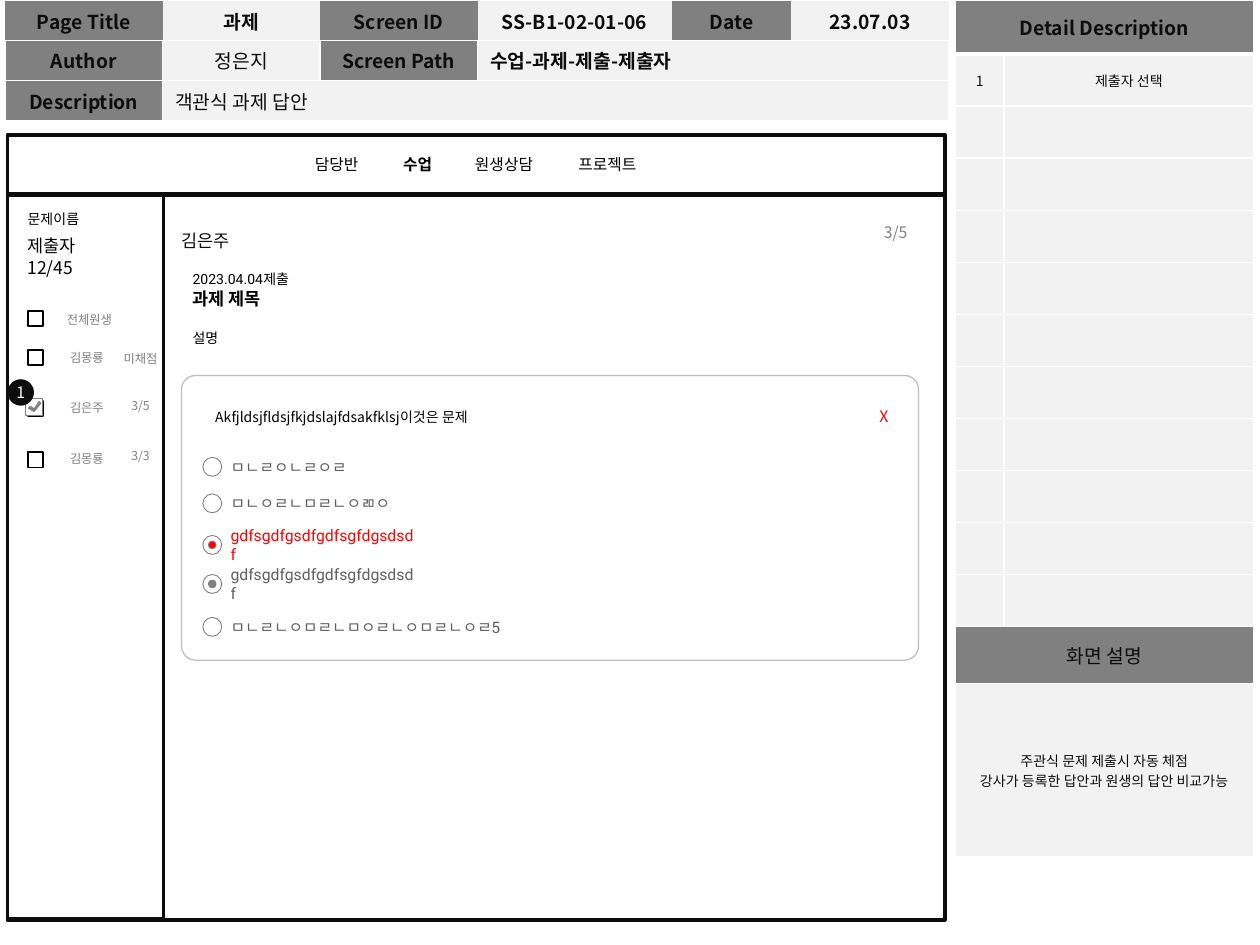
from lxml.etree import SubElement
from pptx import Presentation
from pptx.dml.color import RGBColor
from pptx.enum.shapes import MSO_SHAPE as SHAPE
from pptx.enum.text import MSO_ANCHOR as ANCHOR, PP_ALIGN as ALIGN
from pptx.oxml.ns import qn
from pptx.util import Inches, Pt

BLACK = RGBColor(0, 0, 0)
INK = RGBColor(0x0D, 0x0D, 0x0D)
GRAY = RGBColor(0x80, 0x80, 0x80)
TEXT_GRAY = RGBColor(0x5F, 0x5F, 0x5F)
SILVER = RGBColor(0xBF, 0xBF, 0xBF)
PALE = RGBColor(0xF2, 0xF2, 0xF2)
WHITE = RGBColor(0xFF, 0xFF, 0xFF)
RED = RGBColor(0xFF, 0, 0)
NOTO, ROBOTO = "Noto Sans CJK KR", "Roboto"
NO_STYLE = "{2D5ABB26-0587-4C30-8999-92F81FD0307C}"

prs = Presentation()
prs.slide_width, prs.slide_height = Inches(10), Inches(7.5)
slide = prs.slides.add_slide(prs.slide_layouts[6])
U = prs.slide_width // 100  # grid of 100 columns by 75 rows


def add(kind, x, y, w, h, fill=None, line=None, width=1, parent=slide):
    """Place a shape, or a text box when kind is None, in grid units."""
    box = [int(v * U) for v in (x, y, w, h)]
    if kind is None:
        return parent.shapes.add_textbox(*box)
    sp = parent.shapes.add_shape(kind, *box)
    sp.shadow.inherit = False
    for part, color in ((sp.fill, fill), (sp.line.fill, line)):
        if color is None:
            part.background()
        else:
            part.solid()
            part.fore_color.rgb = color
    if line is not None:
        sp.line.width = Pt(width)
    return sp


def write(tf, lines, size, color=BLACK, align=ALIGN.LEFT, font=NOTO, bold=False):
    """Fill a text frame; a line is a string or a list of (text, bold) runs."""
    tf.word_wrap = True
    for i, line in enumerate(lines):
        p = tf.paragraphs[0] if i == 0 else tf.add_paragraph()
        p.alignment = align
        for text, strong in [(line, bold)] if isinstance(line, str) else line:
            r = p.add_run()
            r.text = text
            r.font.size, r.font.bold, r.font.name = Pt(size), strong, font
            r.font.color.rgb = color
            SubElement(r.font._element, qn("a:ea"), typeface=font)


# Student name and question card
sp = add(SHAPE.ROUNDED_RECTANGLE, 14.3, 17.8, 33.2, 2.6)
sp.text_frame.margin_left = sp.text_frame.margin_right = 0
sp.text_frame.vertical_anchor = ANCHOR.MIDDLE
write(sp.text_frame, ["김은주"], 10, INK)
sp = add(SHAPE.ROUNDED_RECTANGLE, 14.4, 29.8, 58.5, 22.6, line=SILVER, width=0.75)
sp.adjustments[0] = 0.05

# Answer options: text, circle top, text width, text colour, dot colour
options = [
    ("ㅁㄴㄹㅇㄴㄹㅇㄹ", 36.3, 11.7, TEXT_GRAY, None),
    ("ㅁㄴㅇㄹㄴㅁㄹㄴㅇㄻㅇ", 39.2, 15.5, TEXT_GRAY, None),
    ("gdfsgdfgsdfgdfsgfdgsdsdf", 42.5, 16.3, RED, RED),
    ("gdfsgdfgsdfgdfsgfdgsdsdf", 45.6, 16.3, TEXT_GRAY, GRAY),
    ("ㅁㄴㄹㄴㅇㅁㄹㄴㅁㅇㄹㄴㅇㅁㄹㄴㅇㄹ5", 49, 25, TEXT_GRAY, None),
]
for text, y, w, color, dot in options:
    group = slide.shapes.add_group_shape()
    add(SHAPE.OVAL, 16.1, y, 1.5, 1.5, WHITE, GRAY, 0.5, group)
    if dot is not None:
        add(SHAPE.OVAL, 16.55, y + 0.45, 0.6, 0.6, dot, GRAY, 0.5, group)
    tf = add(None, 17.5, y - 0.4, w, 2.3, parent=group).text_frame
    tf.margin_left = tf.margin_right = Inches(0.08)
    tf.margin_top = tf.margin_bottom = Inches(0.04)
    tf.vertical_anchor = ANCHOR.MIDDLE
    write(tf, [text], 9, color, font=ROBOTO)

# Assignment heading, question and marks
labels = [
    ("Akfjldsjfldsjfkjdslajfdsakfklsj이것은 문제", 16.1, 31.9, 43.9, 2.4, 8, BLACK, ALIGN.LEFT),
    ("설명", 14.3, 25.7, 47.9, 2.4, 8, BLACK, ALIGN.LEFT),
    ("X", 45.5, 31.8, 26, 2.5, 9, RED, ALIGN.RIGHT),
    ("3/5", 67.9, 17.2, 5.1, 2.5, 9, GRAY, ALIGN.RIGHT),
    ("문제이름", 1.2, 16.2, 6.5, 2.4, 8, BLACK, ALIGN.LEFT),
]
for text, x, y, w, h, size, color, align in labels:
    write(add(None, x, y, w, h).text_frame, [text], size, color, align)
tf = add(None, 14.3, 21, 47.9, 4).text_frame
write(tf, ["2023.04.04제출"], 8, font=ROBOTO)
p = tf.add_paragraph()
r = p.add_run()
r.text = "과제 제목"
r.font.size, r.font.bold, r.font.name = Pt(10), True, NOTO
r.font.color.rgb = BLACK
SubElement(r.font._element, qn("a:ea"), typeface=NOTO)
write(add(None, 1.2, 18.2, 6.2, 4.4).text_frame, ["제출자", "12/45"], 10)

# Navigation on tab stops
tf = add(None, 22, 11.8, 31.6, 2.5).text_frame
tf.margin_left = Inches(0.3)
write(tf, [[("담당반\t", False), ("수업", True), ("\t원생상담\t프로젝트", False)]], 9)
tabs = SubElement(tf.paragraphs[0]._p.get_or_add_pPr(), qn("a:tabLst"))
for stop in (0.7, 1.27, 2.09):
    SubElement(tabs, qn("a:tab"), pos=str(Inches(stop)), algn="l")

# Screen frame: body, top bar, sidebar
for x, y, w, h in ((0.6, 15.5, 74.4, 57.5), (0.6, 10.7, 74.4, 4.7), (0.6, 15.4, 12.4, 57.5)):
    add(SHAPE.RECTANGLE, x, y, w, h, line=INK, width=2)

# Sidebar student list
students = [("전체원생", 24.3, None, 0, 24.7), ("김몽룡", 27.3, "미채점", 27.4, 27.8),
            ("김은주", 31.3, "3/5", 31.1, 31.8), ("김몽룡", 35.3, "3/3", 35.1, 35.9)]
for name, y, score, score_y, check_y in students:
    w = 6 if score is None else 5.6
    write(add(None, 4.1, y, w, 2.2).text_frame, [name], 7, GRAY, ALIGN.CENTER)
    if score:
        write(add(None, 8.6, score_y, 5.1, 2.2).text_frame, [score], 7, GRAY, ALIGN.CENTER)
    add(SHAPE.RECTANGLE, 2.2, check_y, 1.2, 1.2, line=BLACK)

# Ticked box, drawn in tenths of a grid unit
group = slide.shapes.add_group_shape()
add(SHAPE.RECTANGLE, 2, 31.6, 1.4, 1.4, WHITE, GRAY, 0.5, group)
fb = group.shapes.build_freeform(31, 318, scale=U / 10)
fb.add_line_segments([(27, 324), (24, 322), (22, 324), (25, 326), (27, 327), (29, 325), (33, 320)])
tick = fb.convert_to_shape()
tick.shadow.inherit = False
tick.fill.solid()
tick.fill.fore_color.rgb = GRAY
tick.line.fill.background()

# Numbered marker
sp = add(SHAPE.OVAL, 0.6, 30.1, 2.1, 2.1, INK)
tf = sp.text_frame
tf.margin_left = tf.margin_right = tf.margin_top = tf.margin_bottom = 0
tf.vertical_anchor = ANCHOR.MIDDLE
write(tf, ["1"], 9, WHITE, ALIGN.CENTER)

# Tables: origin, columns, rows, merges (row, first, last), cells
# A cell is (row, column): (lines, size, bold, alignment)
C, L = ALIGN.CENTER, ALIGN.LEFT
info = {(0, c): ([t], 11, True, C) for c, t in enumerate(
    ["Page Title", "과제", "Screen ID", "SS-B1-02-01-06", "Date", "23.07.03"])}
info |= {(1, 0): (["Author"], 11, True, C), (1, 1): (["정은지"], 11, False, C),
         (1, 2): (["Screen Path"], 11, True, C),
         (1, 3): (["수업-과제-제출-제출자"], 11, True, L),
         (2, 0): (["Description"], 11, True, C), (2, 1): (["객관식 과제 답안"], 11, False, L)}
detail = {(0, 0): (["Detail Description"], 11, True, C), (1, 0): (["1"], 8, False, C),
          (1, 1): (["제출자 선택"], 8, False, C), (12, 0): (["화면 설명"], 11, False, C),
          (13, 0): (["주관식 문제 제출시 자동 체점", "강사가 등록한 답안과 원생의 답안 비교가능"], 8, False, C)}
tables = [
    (0.4, 0.1, [12.5, 12.5, 12.5, 15.4, 9.5, 12.5], [3.1, 3.2, 3.2],
     [(1, 3, 5), (2, 1, 5)], info, {(0, 0), (0, 2), (0, 4), (1, 0), (1, 2), (2, 0)}),
    (75.8, 0, [3.9, 19.8], [4.3] + [4.13] * 11 + [4.5, 13.8],
     [(0, 0, 1), (12, 0, 1), (13, 0, 1)], detail, {(0, 0), (0, 1), (12, 0), (12, 1)}),
]
for x, y, cols, rows, merges, texts, dark in tables:
    box = [int(v * U) for v in (x, y, sum(cols), sum(rows))]
    tbl = slide.shapes.add_table(len(rows), len(cols), *box).table
    tbl.first_row = tbl.horz_banding = False
    tbl._tbl.tblPr.find(qn("a:tableStyleId")).text = NO_STYLE
    for col, w in zip(tbl.columns, cols):
        col.width = int(w * U)
    for r, h in enumerate(rows):
        tbl.rows[r].height = int(h * U)
        for c in range(len(cols)):
            cell = tbl.cell(r, c)
            cell.vertical_anchor = ANCHOR.MIDDLE
            cell.margin_top = cell.margin_bottom = Inches(0.04)
            lines, size, bold, align = texts.get((r, c), ([""], 8, False, C))
            write(cell.text_frame, lines, size, INK, align, bold=bold)
            # White rules; the first info row has only its lower one
            sides = ["B"] if texts is info and r == 0 else "LRTB"
            for side in sides:
                thick = texts is detail and (r, side) in ((0, "B"), (1, "T"))
                ln = SubElement(cell._tc.get_or_add_tcPr(), qn(f"a:ln{side}"),
                                w=str(Pt(3 if thick else 1)))
                SubElement(SubElement(ln, qn("a:solidFill")), qn("a:srgbClr"), val=str(WHITE))
            cell.fill.solid()
            cell.fill.fore_color.rgb = GRAY if (r, c) in dark else PALE
    for r, first, last in merges:
        tbl.cell(r, first).merge(tbl.cell(r, last))

prs.save("out.pptx")
